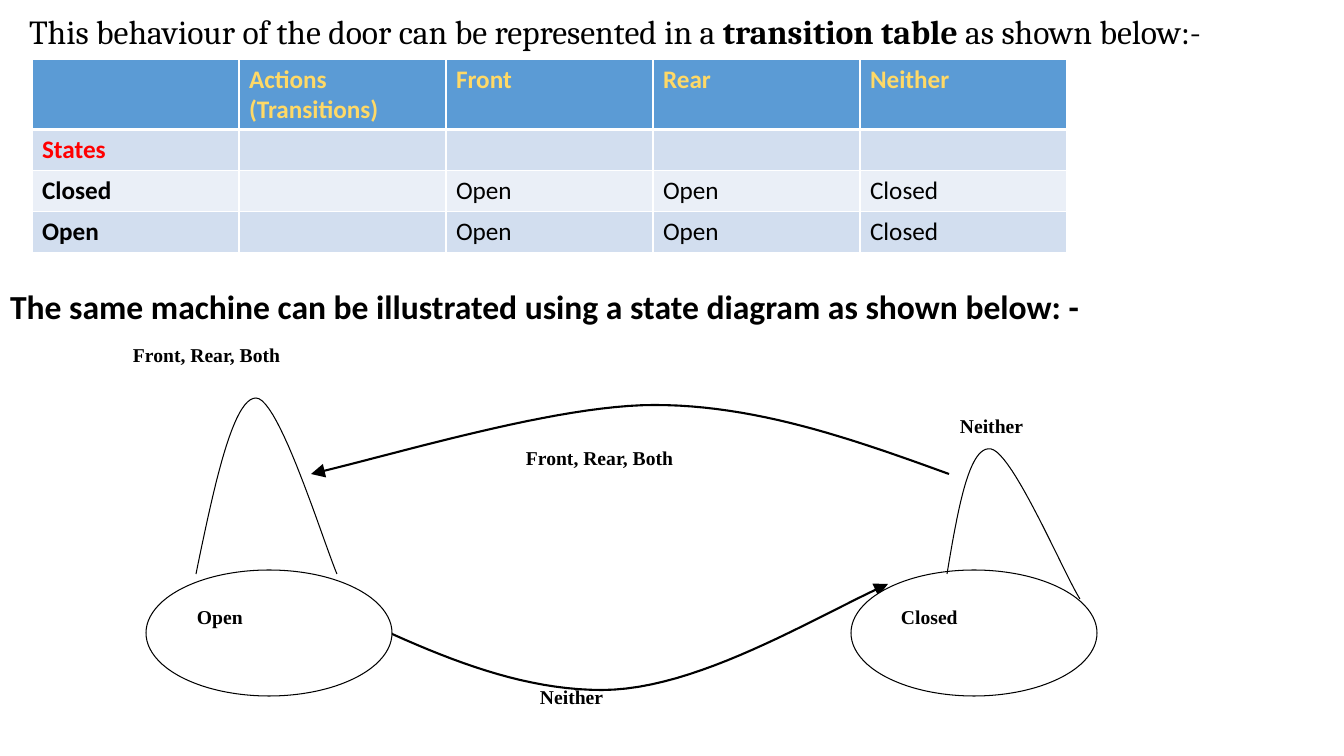
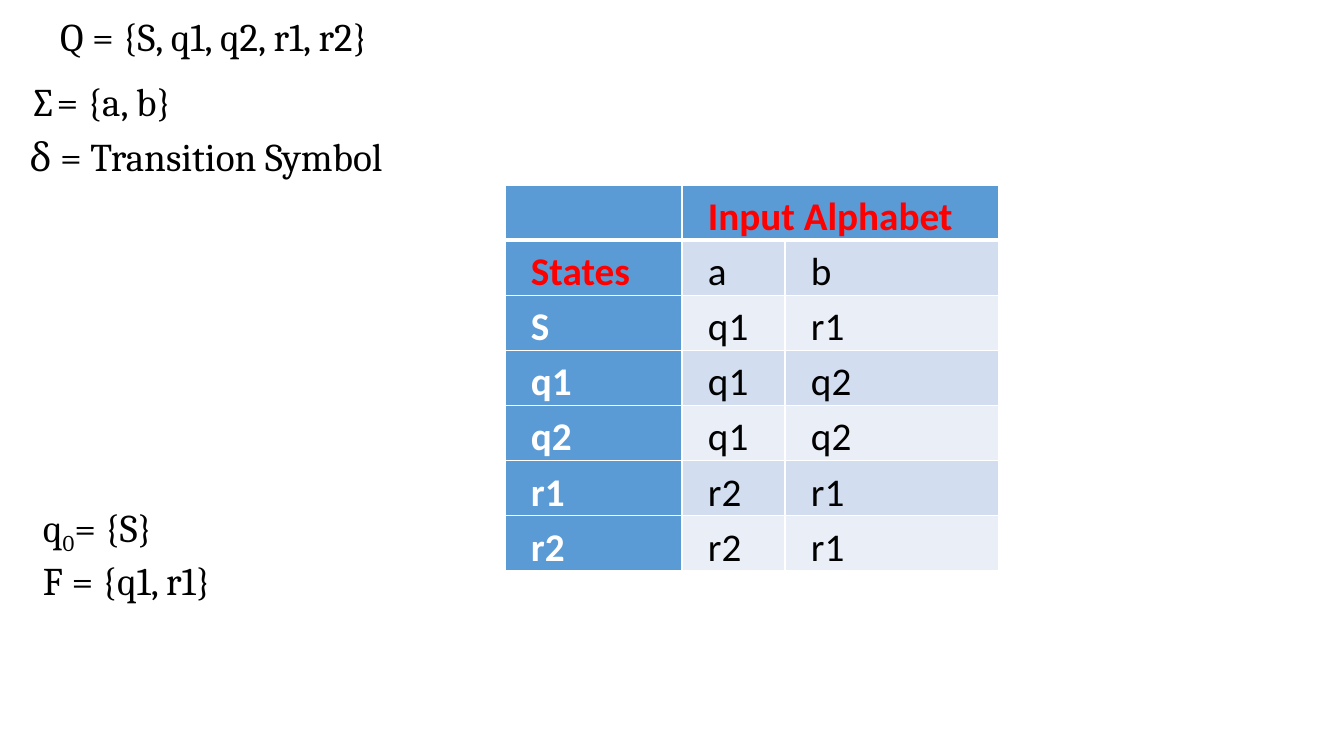
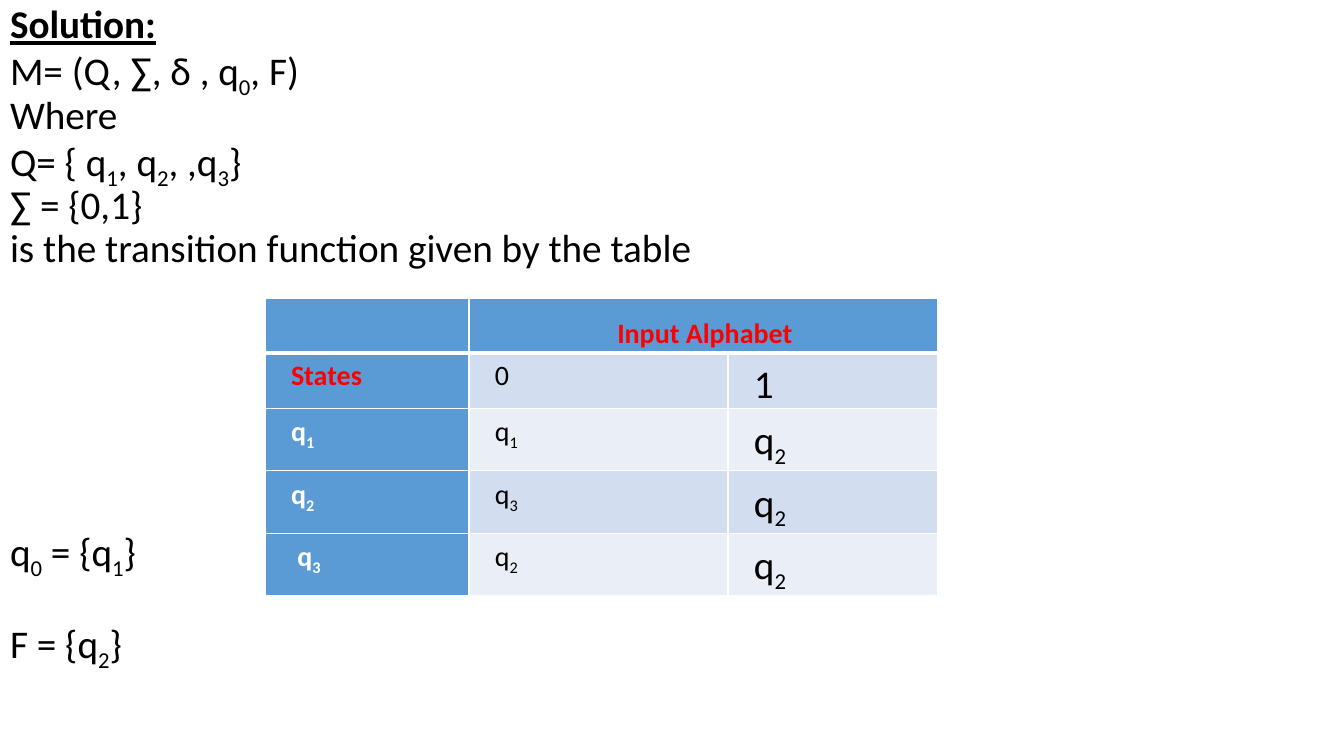
from dataclasses import dataclass
from typing import Callable, Optional

from lxml import etree
from pptx import Presentation
from pptx.dml.color import RGBColor
from pptx.enum.shapes import MSO_SHAPE
from pptx.enum.text import MSO_ANCHOR, PP_ALIGN
from pptx.oxml.ns import qn
from pptx.util import Pt

# Shared scale, colours and fonts
PX = 914400 / 100.8
COLORS = {
    "black": "000000",
    "white": "FFFFFF",
    "red": "FF0000",
    "gold": "FFD966",
    "header": "5B9BD5",
    "band_dark": "D2DEEF",
    "band_light": "EAEFF7",
}
BODY, SERIF, LABEL = "Calibri", "Cambria", "Times New Roman"


def px(length: float) -> int:
    return round(length * PX)


def rgb(name: str) -> RGBColor:
    return RGBColor.from_string(COLORS[name])


@dataclass(frozen=True)
class Style:
    font: str
    size: float
    color: str = "black"
    bold: bool = False


@dataclass(frozen=True)
class Span:
    """Text in which an underscore lowers the next character."""
    text: str
    bold: Optional[bool] = None
    underline: bool = False
    size: Optional[float] = None


@dataclass(frozen=True)
class Para:
    spans: tuple[Span, ...]
    align: PP_ALIGN = PP_ALIGN.LEFT
    left: int = 0
    first: int = 0
    line: float = 1.0
    before: float = 0
    after: float = 0


@dataclass(frozen=True)
class TextBox:
    x: int
    y: int
    w: int
    h: int
    paras: tuple[Para, ...]
    style: Style
    insets: tuple[int, int, int, int] = (10, 5, 10, 5)
    wrap: bool = True


@dataclass(frozen=True)
class Grid:
    x: int
    y: int
    cols: list[int]
    rows: list[int]
    cells: list[list[str]]
    style: Callable[[int, int], Style]
    compact: bool = False  # state column filled, last header cells merged


# Text
def add_run(paragraph, text: str, span: Span, style: Style, lowered: bool) -> None:
    run = paragraph.add_run()
    run.text = text
    font = run.font
    font.name = style.font
    font.size = Pt(span.size or style.size)
    font.bold = style.bold if span.bold is None else span.bold
    font.color.rgb = rgb(style.color)
    if span.underline:
        font.underline = True
    if lowered:
        run._r.get_or_add_rPr().set("baseline", "-25000")


def fill_paragraph(paragraph, para: Para, style: Style) -> None:
    paragraph.alignment = para.align
    paragraph.line_spacing = para.line
    paragraph.space_before = Pt(para.before)
    paragraph.space_after = Pt(para.after)
    properties = paragraph._p.get_or_add_pPr()
    properties.set("marL", str(px(para.left)))
    properties.set("indent", str(px(para.first)))
    for span in para.spans:
        plain, *lowered = span.text.split("_")
        pieces = [(plain, False)]
        for part in lowered:
            pieces += [(part[:1], True), (part[1:], False)]
        for text, low in pieces:
            if text:
                add_run(paragraph, text, span, style, low)


def add_text(slide, box: TextBox) -> None:
    frame = slide.shapes.add_textbox(px(box.x), px(box.y), px(box.w), px(box.h)).text_frame
    frame.word_wrap = box.wrap
    frame.vertical_anchor = MSO_ANCHOR.TOP
    (frame.margin_left, frame.margin_top,
     frame.margin_right, frame.margin_bottom) = map(px, box.insets)
    for i, para in enumerate(box.paras):
        paragraph = frame.add_paragraph() if i else frame.paragraphs[0]
        fill_paragraph(paragraph, para, box.style)


def indented(*spans: Span, **options) -> Para:
    settings = dict(align=PP_ALIGN.JUSTIFY, left=20, first=-1, line=1.15)
    return Para(spans, **(settings | options))


# Tables
def add_borders(cell, row: int) -> None:
    properties = cell._tc.get_or_add_tcPr()
    thick = {(0, "lnB"), (1, "lnT")}
    for side in ("lnL", "lnR", "lnT", "lnB"):
        width = Pt(3 if (row, side) in thick else 1)
        line = etree.SubElement(properties, qn(f"a:{side}"), w=str(width))
        solid = etree.SubElement(line, qn("a:solidFill"))
        etree.SubElement(solid, qn("a:srgbClr"), val=COLORS["white"])


def add_grid(slide, grid: Grid) -> None:
    table = slide.shapes.add_table(
        len(grid.rows), len(grid.cols), px(grid.x), px(grid.y),
        px(sum(grid.cols)), px(sum(grid.rows))).table
    for column, width in zip(table.columns, grid.cols):
        column.width = px(width)
    for row, height in zip(table.rows, grid.rows):
        row.height = px(height)
    if grid.compact:
        table.cell(0, 1).merge(table.cell(0, len(grid.cols) - 1))
    for r, texts in enumerate(grid.cells):
        for c, text in enumerate(texts):
            cell = table.cell(r, c)
            add_borders(cell, r)
            heading = r == 0 or (grid.compact and c == 0)
            band = "band_dark" if r % 2 else "band_light"
            cell.fill.solid()
            cell.fill.fore_color.rgb = rgb("header" if heading else band)
            if not text:
                continue
            para = Para((Span(text),))
            if grid.compact:
                (cell.margin_left, cell.margin_top,
                 cell.margin_right, cell.margin_bottom) = map(px, (7, 1, 8, 0))
                para = indented(Span(text))
                if text.endswith("\u00a0"):
                    para = indented(Span(text[:-1]), Span("\u00a0", size=28),
                                    align=PP_ALIGN.CENTER)
            fill_paragraph(cell.text_frame.paragraphs[0], para, grid.style(r, c))


def state_style(size: Callable[[int, int], float]) -> Callable[[int, int], Style]:
    def style(r: int, c: int) -> Style:
        heading = r == 0 or c == 0
        color = "red" if r == 0 or (r == 1 and c == 0) else "white" if heading else "black"
        return Style(BODY, size(r, c), color, heading)
    return style


def door_style(r: int, c: int) -> Style:
    color = "gold" if r == 0 else "red" if r == 1 else "black"
    return Style(BODY, 18, color, r == 0 or c == 0)


# State diagram
Point = tuple[float, float]


@dataclass(frozen=True)
class Curve:
    """Chain of cubic curves: a start, then three points per curve."""
    points: list[Point]
    width: float = 0.75
    arrow: bool = False


def bezier(p: list[Point], t: float) -> Point:
    u = 1 - t
    weights = (u ** 3, 3 * u * u * t, 3 * u * t * t, t ** 3)
    x, y = (sum(w * point[axis] for w, point in zip(weights, p)) for axis in (0, 1))
    return px(x), px(y)


def add_curve(slide, curve: Curve, steps: int = 24) -> None:
    points = curve.points
    path = [bezier(points[i:i + 4], step / steps)
            for i in range(0, len(points) - 1, 3) for step in range(1, steps + 1)]
    builder = slide.shapes.build_freeform(px(points[0][0]), px(points[0][1]))
    builder.add_line_segments(path, close=False)
    shape = builder.convert_to_shape()
    shape.shadow.inherit = False
    shape.fill.background()
    shape.line.color.rgb = rgb("black")
    shape.line.width = Pt(curve.width)
    if curve.arrow:
        etree.SubElement(shape.line._get_or_add_ln(), qn("a:tailEnd"),
                         type="triangle", w="lg", len="lg")


def add_state(slide, x: int, y: int) -> None:
    oval = slide.shapes.add_shape(MSO_SHAPE.OVAL, px(x), px(y), px(246), px(126))
    oval.shadow.inherit = False
    oval.fill.solid()
    oval.fill.fore_color.rgb = rgb("white")
    oval.line.color.rgb = rgb("black")
    oval.line.width = Pt(0.75)


def add_label(slide, text: str, x: int, y: int, w: int) -> None:
    add_text(slide, TextBox(x, y, w, 39, (Para((Span(text),), line=1.07, after=8),),
                            Style(LABEL, 14, bold=True), (0, 0, 0, 0)))


prs = Presentation()
prs.slide_width, prs.slide_height = px(1344), px(756)
door, automaton, solution = (prs.slides.add_slide(prs.slide_layouts[6]) for _ in range(3))

# Slide 1: door transition table and state diagram
add_text(door, TextBox(0, 290, 1344, 40, (
    Para((Span("The same machine can be illustrated using a state diagram as shown below: -"),),
         line=0.9),), Style(BODY, 24, bold=True), (10, 0, 10, 0)))
add_text(door, TextBox(0, 0, 1344, 57, (
    indented(Span("This behaviour of the door can be represented in a "),
             Span("transition table ", bold=True), Span("as shown below:-"), after=0.2),),
    Style(SERIF, 24)))
add_grid(door, Grid(32, 59, [207] * 5, [70, 41, 41, 41], [
    ["", "Actions (Transitions)", "Front", "Rear", "Neither"],
    ["States", "", "", "", ""],
    ["Closed", "", "Open", "Open", "Closed"],
    ["Open", "", "Open", "Open", "Closed"],
], door_style))

TRANSITIONS = [
    Curve([(949, 474), (850, 438), (755, 405), (654, 405),
           (557, 405), (400, 453), (311, 474)], 1.5, True),
    Curve([(324, 602), (418, 647), (508, 690), (602, 690),
           (697, 690), (813, 618), (888, 584)], 1.5, True),
]
LOOPS = [
    Curve([(196, 574), (214, 486), (233, 398), (256, 398),
           (279, 398), (324, 544), (337, 574)]),
    Curve([(947, 574), (958, 509), (969, 445), (991, 449),
           (1013, 453), (1064, 574), (1080, 599)]),
]
for transition in TRANSITIONS:
    add_curve(door, transition)
for state_x in (146, 851):
    add_state(door, state_x, 570)
for loop in LOOPS:
    add_curve(door, loop)
for label in [
    ("Neither", 540, 683, 130),
    ("Open", 197, 603, 105),
    ("Closed", 901, 603, 132),
    ("Front, Rear, Both", 526, 444, 304),
    ("Neither", 960, 412, 130),
    ("Front, Rear, Both", 133, 341, 316),
]:
    add_label(door, *label)

# Slide 2: formal definition with its transition table
add_grid(automaton, Grid(505, 185, [177, 103, 214], [55] * 7, [
    ["", "Input Alphabet"],
    ["States", "a", "b"],
    ["S", "q1", "r1"],
    ["q1", "q1", "q2"],
    ["q2", "q1", "q2"],
    ["r1", "r2", "r1"],
    ["r2", "r2", "r1"],
], state_style(lambda r, c: 28), True))
add_text(automaton, TextBox(0, 0, 1321, 185, (
    indented(Span("Q = {S, q1, q2, r1, r2}"), left=50, first=0, after=8.1),
    indented(Span("∑= {a, b}"), after=0.2),
    indented(Span("δ = Transition Symbol"), after=0.2),
), Style(SERIF, 28)))
add_text(automaton, TextBox(33, 498, 219, 105, (
    Para((Span("q_0= {S}"),)), Para((Span("F = {q1, r1}"),)),
), Style(SERIF, 28), wrap=False))

# Slide 3: solution with its transition table
SOLUTION = [
    (Span("Solution:", bold=True, underline=True), 0),
    (Span("M= (Q, ∑, δ , q_0, F)"), 0),
    (Span("Where"), 0),
    (Span("Q= { q_1, q_2, ,q_3}"), 0),
    (Span("∑ = {0,1}"), 0),
    (Span("is the transition function given by the table"), 0),
    (Span("q_0 = {q_1}"), 184),
    (Span("F = {q_2}"), 31),
]
add_text(solution, TextBox(0, 5, 1344, 746, tuple(
    Para((span,), line=0.9, before=gap) for span, gap in SOLUTION),
    Style(BODY, 28), (10, 0, 10, 0)))
add_grid(solution, Grid(265, 298, [204, 259, 210], [55, 55, 61, 61, 61], [
    ["", "Input Alphabet \u00a0"],
    ["States", "0", "1"],
    ["q_1", "q_1", "q_2"],
    ["q_2", "q_3", "q_2"],
    [" q_3", "q_2", "q_2"],
], state_style(lambda r, c: 28 if r and c == 2 else 20), True))

prs.save("out.pptx")
